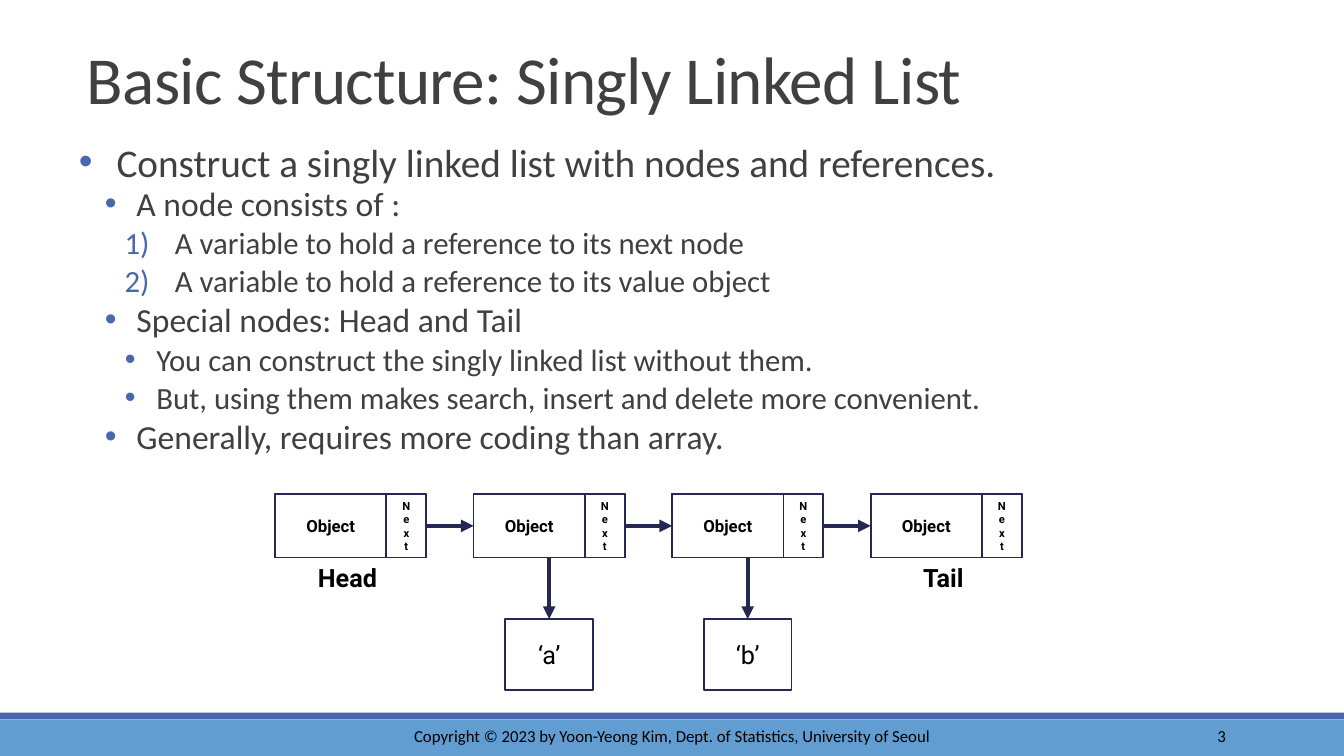
from dataclasses import dataclass

from lxml.etree import SubElement
from pptx import Presentation
from pptx.dml.color import RGBColor
from pptx.enum.shapes import MSO_CONNECTOR, MSO_SHAPE
from pptx.enum.text import MSO_ANCHOR, PP_ALIGN
from pptx.oxml.ns import qn
from pptx.util import Pt

BLACK = RGBColor(0x00, 0x00, 0x00)
GRAY = RGBColor(0x40, 0x40, 0x40)
NAVY = RGBColor(0x24, 0x28, 0x52)
BLUE = RGBColor(0x4A, 0x66, 0xAC)
LIGHT_BLUE = RGBColor(0x62, 0x9D, 0xD1)


@dataclass
class Area:
    left: float
    top: float
    width: float
    height: float

    def lengths(self) -> list:
        return [Pt(value) for value in (self.left, self.top, self.width, self.height)]


@dataclass
class Style:
    size: float
    name: str = "Roboto"
    color: RGBColor = BLACK
    bold: bool = False


@dataclass
class Outline:
    """A kind of outline paragraph."""
    level: int
    size: float
    margin: float
    indent: float
    before: float = 2
    after: float = 4
    numbered: bool = False


def style_span(span, style: Style) -> None:
    values = {"size": Pt(style.size), "name": style.name, "bold": style.bold}
    for key, value in values.items():
        setattr(span.font, key, value)
    span.font.color.rgb = style.color


def write(box, text: str, style: Style, align=PP_ALIGN.CENTER,
          anchor=MSO_ANCHOR.MIDDLE, wrap: bool = True):
    frame = box.text_frame
    frame.word_wrap = wrap
    frame.vertical_anchor = anchor
    para = frame.paragraphs[0]
    para.text = text
    para.alignment = align
    for span in para.runs:
        style_span(span, style)
    return para


def add_label(page, area: Area, text: str, style: Style, **layout):
    return write(page.shapes.add_textbox(*area.lengths()), text, style, **layout)


def add_bar(page, area: Area, color: RGBColor) -> None:
    bar = page.shapes.add_shape(MSO_SHAPE.RECTANGLE, *area.lengths())
    bar.shadow.inherit = False
    bar.fill.solid()
    bar.fill.fore_color.rgb = color
    bar.line.fill.background()


def add_frame(shapes, area: Area, text: str = "", style: Style | None = None) -> None:
    box = shapes.add_shape(MSO_SHAPE.RECTANGLE, *area.lengths())
    box.shadow.inherit = False
    box.fill.background()
    box.line.color.rgb = NAVY
    box.line.width = Pt(1.25)
    if style:
        write(box, text, style)


def add_arrow(page, *ends: float) -> None:
    arrow = page.shapes.add_connector(MSO_CONNECTOR.STRAIGHT, *map(Pt, ends))
    arrow.line.color.rgb = NAVY
    arrow.line.width = Pt(3)
    SubElement(arrow.line._get_or_add_ln(), qn("a:tailEnd"), type="triangle")
    SubElement(arrow._element.spPr, qn("a:effectLst"))


def add_outline_item(para, text: str, kind: Outline) -> None:
    values = {"level": kind.level, "line_spacing": 0.8,
              "space_before": Pt(kind.before), "space_after": Pt(kind.after)}
    for key, value in values.items():
        setattr(para, key, value)
    span = para.add_run()
    span.text = text
    style_span(span, Style(kind.size, "Calibri", GRAY))
    properties = para._p.get_or_add_pPr()
    properties.set("marL", str(Pt(kind.margin)))
    properties.set("indent", str(Pt(kind.indent)))
    color = SubElement(properties, qn("a:buClr"))
    SubElement(color, qn("a:srgbClr"), val=str(BLUE))
    if kind.numbered:
        SubElement(properties, qn("a:buFont"), typeface="+mj-lt")
        SubElement(properties, qn("a:buAutoNum"), type="arabicParenR")
    else:
        SubElement(properties, qn("a:buFont"), typeface="Arial")
        SubElement(properties, qn("a:buChar"), char="•")


deck = Presentation()
deck.slide_width, deck.slide_height = Pt(960), Pt(540)
page = deck.slides.add_slide(deck.slide_layouts[6])

# Footer bars and text
add_bar(page, Area(0, 514, 960, 26), LIGHT_BLUE)
add_bar(page, Area(0, 509, 960, 5), BLUE)
FOOTER = Style(12, "Calibri")
add_label(page, Area(262, 511.2, 436.5, 28.8),
          "Copyright © 2023 by Yoon-Yeong Kim, Dept. of Statistics, University of Seoul",
          FOOTER)
add_label(page, Area(780, 511.2, 102.7, 28.8), "3", FOOTER, align=PP_ALIGN.RIGHT)

# Title
title = add_label(page, Area(55, 15.1, 851, 72.7), "Basic Structure: Singly Linked List",
                  Style(48, "Calibri", GRAY), align=PP_ALIGN.LEFT,
                  anchor=MSO_ANCHOR.BOTTOM)
title.line_spacing = 0.85
title.runs[0]._r.get_or_add_rPr().set("spc", "-50")

# Outline
TOPIC = Outline(0, 28, 28.35, -27, before=12, after=2)
POINT = Outline(1, 24, 42.5, -22.5)
STEP = Outline(2, 22, 70, -36, numbered=True)
DETAIL = Outline(2, 22, 56.7, -22.5)
OUTLINE = [
    ("Construct a singly linked list with nodes and references.", TOPIC),
    ("A node consists of :", POINT),
    ("A variable to hold a reference to its next node", STEP),
    ("A variable to hold a reference to its value object", STEP),
    ("Special nodes: Head and Tail", POINT),
    ("You can construct the singly linked list without them.", DETAIL),
    ("But, using them makes search, insert and delete more convenient.", DETAIL),
    ("Generally, requires more coding than array.", POINT),
]
outline = page.shapes.add_textbox(*Area(55, 101.5, 851, 391).lengths()).text_frame
outline.word_wrap = True
outline.margin_left = outline.margin_right = 0
for index, (text, kind) in enumerate(OUTLINE):
    para = outline.add_paragraph() if index else outline.paragraphs[0]
    add_outline_item(para, text, kind)

# Linked nodes, with their values and labels below
FIRST_LEFT, NODE_TOP, PITCH = 196.5, 352.9, 141.8
NODE_WIDTH, OBJECT_WIDTH, NODE_HEIGHT = 108, 79.5, 45.4
NODE_BOTTOM = NODE_TOP + NODE_HEIGHT
NODE_MIDDLE = NODE_TOP + NODE_HEIGHT / 2
VALUE_TOP, VALUE_WIDTH, VALUE_HEIGHT = 442.2, 62.6, 50.8
VALUES = {1: "‘a’", 2: "‘b’"}
LABELS = {0: ("Head", 59), 3: ("Tail", 45)}

for index in range(4):
    left = FIRST_LEFT + index * PITCH
    center = left + NODE_WIDTH / 2
    node = page.shapes.add_group_shape().shapes
    add_frame(node, Area(left, NODE_TOP, NODE_WIDTH, NODE_HEIGHT))
    add_frame(node, Area(left + OBJECT_WIDTH, NODE_TOP, NODE_WIDTH - OBJECT_WIDTH,
                         NODE_HEIGHT), "\v".join("Next"), Style(8, bold=True))
    add_frame(node, Area(left, NODE_TOP, OBJECT_WIDTH, NODE_HEIGHT),
              "Object", Style(12, bold=True))
    if index < 3:
        add_arrow(page, left + NODE_WIDTH, NODE_MIDDLE, left + PITCH, NODE_MIDDLE)
    if index in VALUES:
        add_frame(page.shapes, Area(center - VALUE_WIDTH / 2, VALUE_TOP, VALUE_WIDTH,
                                    VALUE_HEIGHT), VALUES[index], Style(18))
        add_arrow(page, center, NODE_BOTTOM, center, VALUE_TOP)
    if index in LABELS:
        label, width = LABELS[index]
        add_label(page, Area(center - width / 2 - 1, NODE_BOTTOM, width, 29), label,
                  Style(18, bold=True), align=PP_ALIGN.LEFT,
                  anchor=MSO_ANCHOR.TOP, wrap=False)

deck.save("out.pptx")
